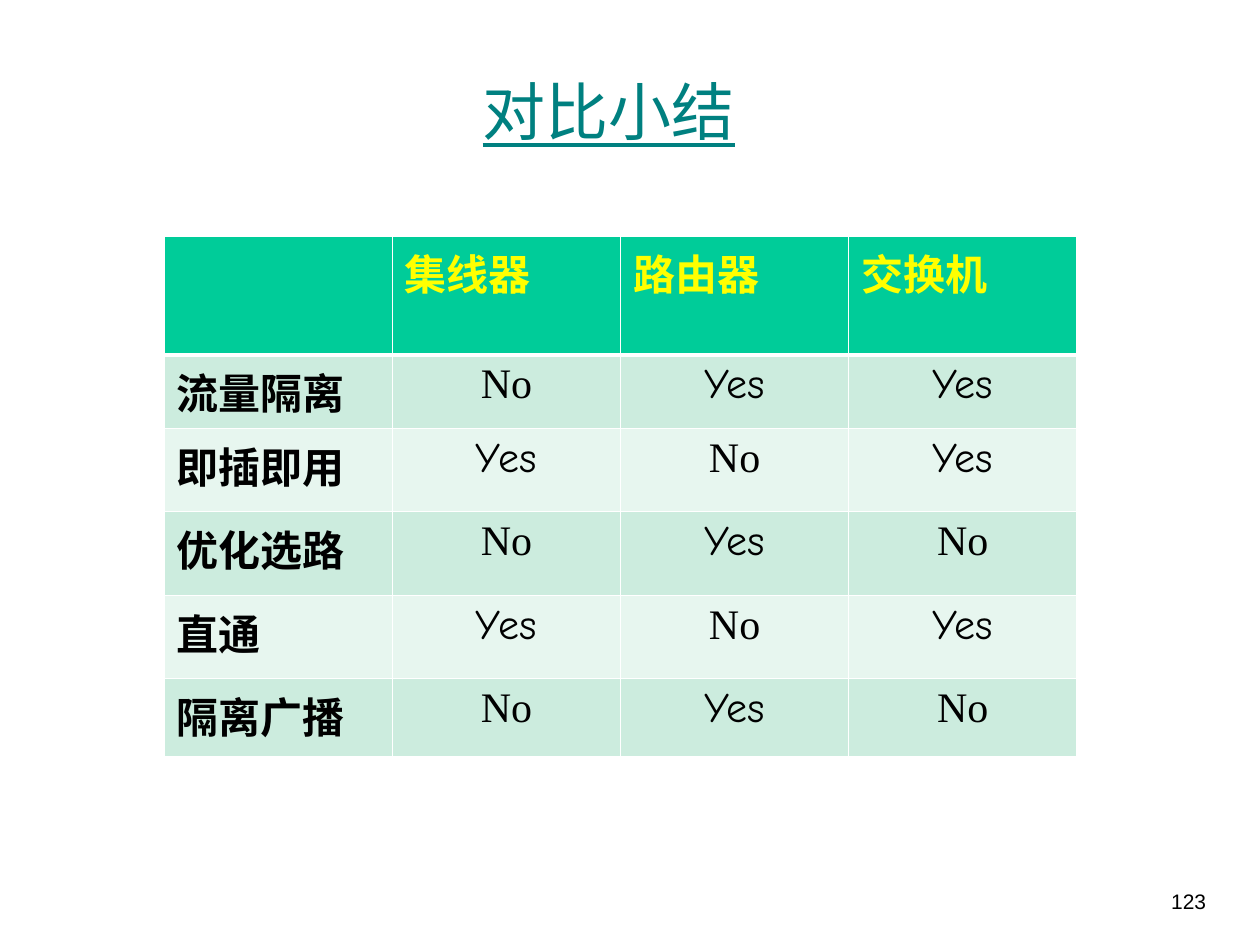
from dataclasses import dataclass

from lxml.etree import SubElement as Sub
from pptx import Presentation
from pptx.dml.color import RGBColor as Rgb
from pptx.enum.text import MSO_ANCHOR as Anchor, PP_ALIGN as Align
from pptx.oxml.ns import qn
from pptx.util import Pt


@dataclass(frozen=True)
class Theme:
    """Colours, fonts and type sizes."""
    teal: str = "008080"
    green: str = "00CC99"
    mint: str = "CCECDE"
    pale: str = "E7F6EF"
    gold: str = "FFFF00"
    black: str = "000000"
    white: str = "FFFFFF"
    serif: str = "Times New Roman"
    hand: str = "Comic Neue"
    sans: str = "Arial"
    big: float = 36
    mid: float = 24
    small: float = 12


@dataclass(frozen=True)
class Style:
    """Look of one paragraph."""
    size: float
    face: str
    tint: str
    align: Align = Align.LEFT
    bold: bool = False
    under: bool = False


@dataclass(frozen=True)
class Label:
    """A text box and its place in points."""
    text: str
    box: tuple[float, float, float, float]
    style: Style
    anchor: Anchor = Anchor.TOP


THEME = Theme()
HEAD = Style(THEME.mid, THEME.serif, THEME.gold, bold=True)
SIDE = Style(THEME.mid, THEME.serif, THEME.black, bold=True)
MARKS = {
    "Yes": Style(THEME.mid, THEME.hand, THEME.black, Align.CENTER),
    "No": Style(THEME.mid, THEME.serif, THEME.black, Align.CENTER),
}
LABELS = [
    Label("123", (643, 504, 53.3, 36),
          Style(THEME.small, THEME.sans, THEME.black, Align.RIGHT)),
    Label("对比小结", (41.8, 18, 612, 90),
          Style(THEME.big, THEME.serif, THEME.teal, Align.CENTER, under=True),
          Anchor.MIDDLE),
]
ROWS = [
    ("", "集线器", "路由器", "交换机"),
    ("流量隔离", "No", "Yes", "Yes"),
    ("即插即用", "Yes", "No", "Yes"),
    ("优化选路", "No", "Yes", "No"),
    ("直通", "Yes", "No", "Yes"),
    ("隔离广播", "No", "Yes", "No"),
]
TALL = (68, 42, 47.6, 48, 47.4, 44.5)
WIDE = 130.4


def write(para, text: str, style: Style) -> None:
    """Put styled text in a paragraph."""
    para.text = text
    para.alignment = style.align
    font = para.font
    font.size, font.name = Pt(style.size), style.face
    font.bold, font.underline = style.bold, style.under
    font.color.rgb = Rgb.from_string(style.tint)


def draw_label(slide, label: Label) -> None:
    """Draw one text box."""
    frame = slide.shapes.add_textbox(*map(Pt, label.box)).text_frame
    frame.word_wrap = True
    frame.vertical_anchor = label.anchor
    write(frame.paragraphs[0], label.text, label.style)


def edge(cell, side: str, width: float) -> None:
    """Add one white border to a cell."""
    line = Sub(cell._tc.get_or_add_tcPr(), qn(f"a:ln{side}"), w=str(Pt(width)))
    fill = Sub(line, qn("a:solidFill"))
    Sub(fill, qn("a:srgbClr"), val=THEME.white)


def draw_cell(cell, text: str, row: int, col: int) -> None:
    """Draw one table cell."""
    edges = {"L": 1, "R": 1, "T": 3 if row == 1 else 1, "B": 1 if row else 3}
    for side, width in edges.items():
        edge(cell, side, width)
    cell.fill.solid()
    tint = (THEME.mint if row % 2 else THEME.pale) if row else THEME.green
    cell.fill.fore_color.rgb = Rgb.from_string(tint)
    if text:
        style = HEAD if row == 0 else SIDE if col == 0 else MARKS[text]
        write(cell.text_frame.paragraphs[0], text, style)


def draw_table(slide) -> None:
    """Draw the comparison table."""
    count = len(ROWS[0])
    table = slide.shapes.add_table(
        len(ROWS), count, Pt(93.8), Pt(134.8), Pt(WIDE * count), Pt(sum(TALL))
    ).table
    for col in table.columns:
        col.width = Pt(WIDE)
    for row, (texts, height) in enumerate(zip(ROWS, TALL)):
        table.rows[row].height = Pt(height)
        for col, text in enumerate(texts):
            draw_cell(table.cell(row, col), text, row, col)


def main() -> None:
    """Build and save the slide."""
    deck = Presentation()
    deck.slide_width, deck.slide_height = Pt(720), Pt(540)
    slide = deck.slides.add_slide(deck.slide_layouts[6])
    for label in LABELS:
        draw_label(slide, label)
    draw_table(slide)
    deck.save("out.pptx")


if __name__ == "__main__":
    main()
